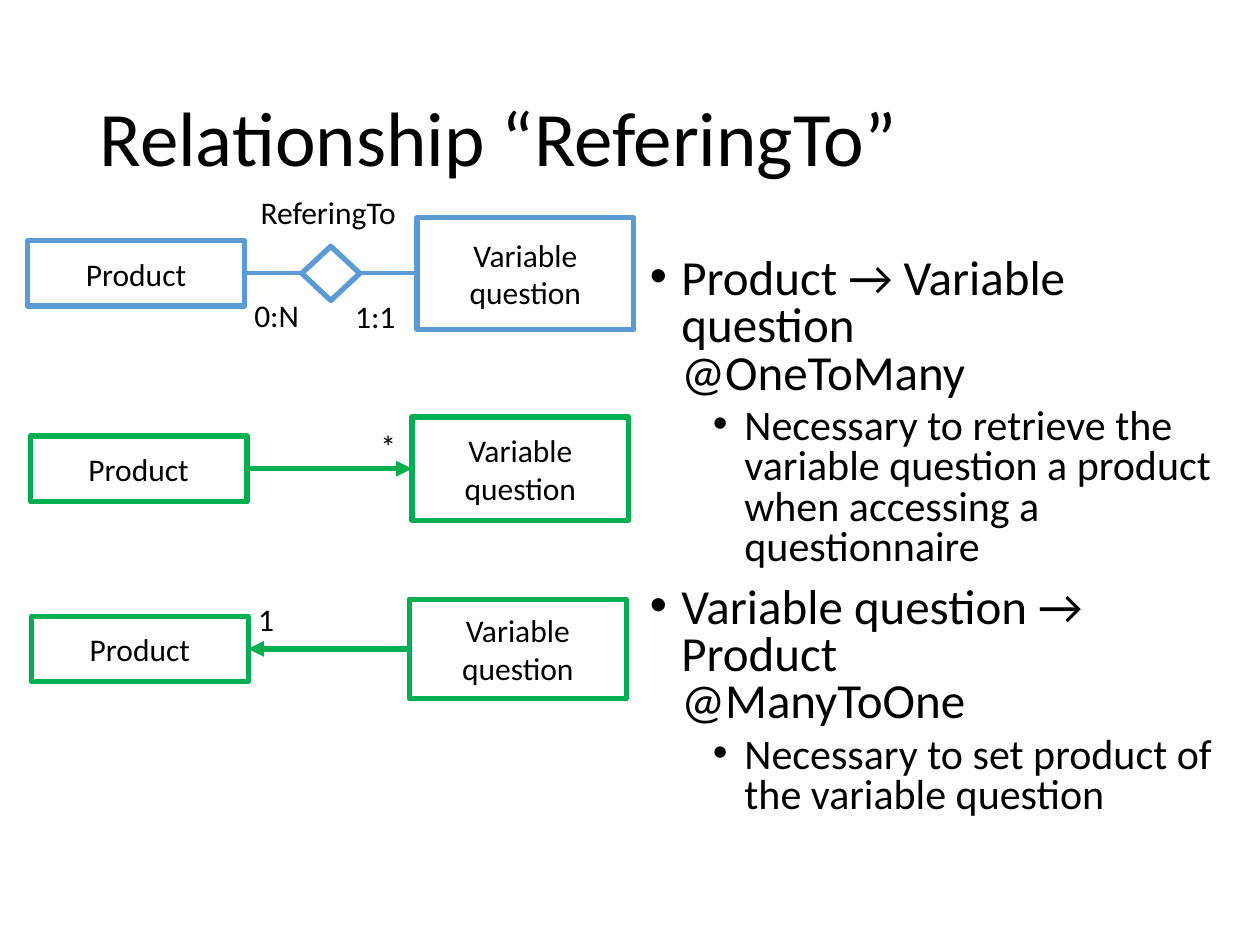
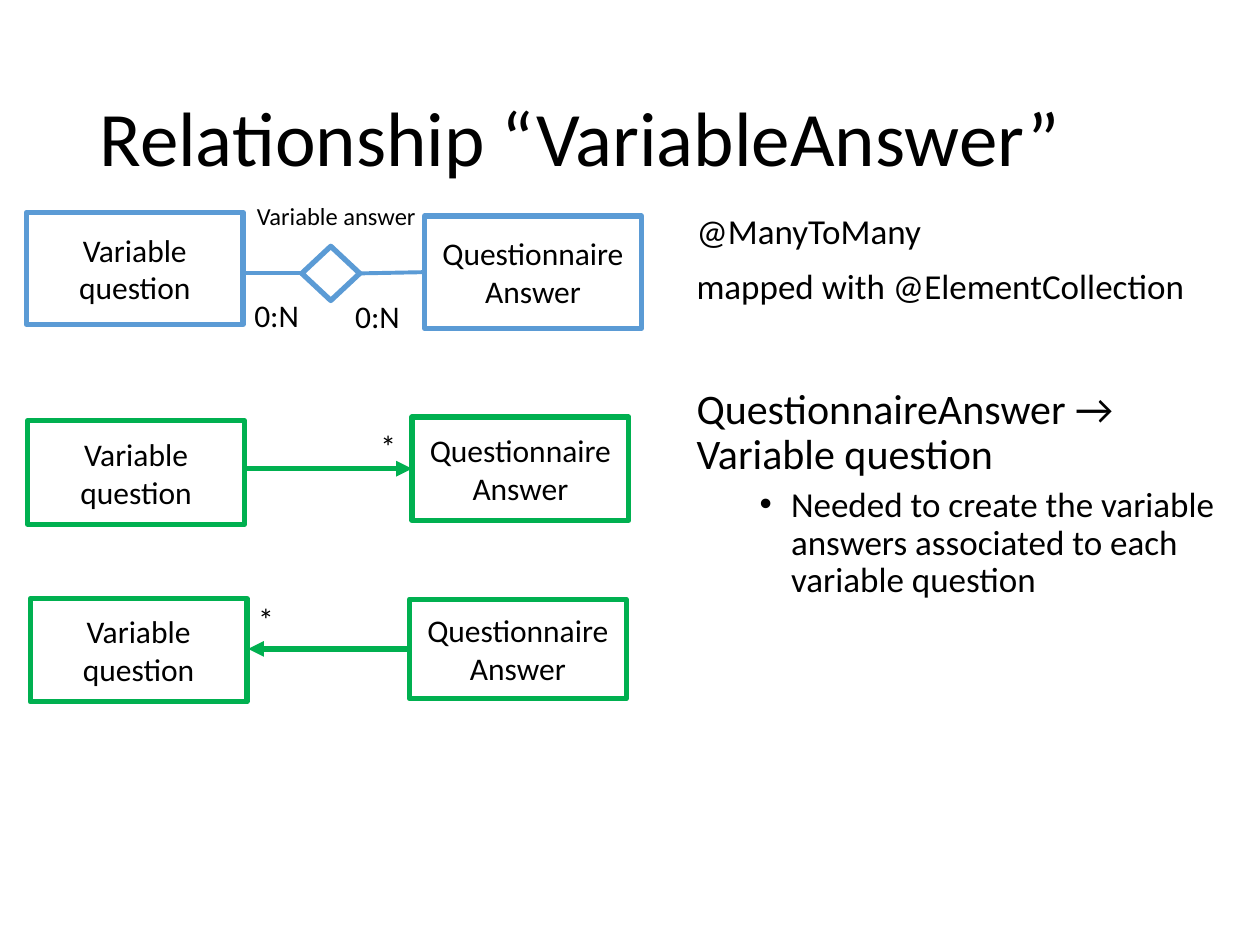
"""Build two slides that map entity relationships to annotations."""
from pptx import Presentation
from pptx import util as u
from pptx.dml.color import RGBColor
from pptx.enum import shapes, text
from pptx.oxml.ns import qn
from lxml import etree

BLACK = RGBColor(0x00, 0x00, 0x00)
WHITE = RGBColor(0xFF, 0xFF, 0xFF)
BLUE = RGBColor(0x5B, 0x9B, 0xD5)
GREEN = RGBColor(0x00, 0xB0, 0x50)
FONT = "Calibri"
CELL = u.Inches(1)
COLUMNS, ROWS = 10, 7.5
BOX_WIDTH = 1.72
MODEL_ROW, FORWARD_ROW, BACK_ROW = 2.17, 3.72, 5.15
DIAMOND_LEFT, DIAMOND_RIGHT = 2.4, 2.86
BULLET_INDENT = 0.25


def cells(*counts):
    """Turn grid counts into slide lengths."""
    return [round(count * CELL) for count in counts]


def style(para, size, align=text.PP_ALIGN.LEFT):
    """Give a paragraph the shared font."""
    para.alignment = align
    para.font.name = FONT
    para.font.size = u.Pt(size)
    para.font.color.rgb = BLACK


def add_page(deck, title):
    """Add a title-only slide with its heading."""
    page = deck.slides.add_slide(deck.slide_layouts[5])
    head = page.shapes.title
    head.left, head.top, head.width, head.height = cells(0.69, 0.4, 8.62, 1.45)
    frame = head.text_frame
    frame.text = title
    frame.auto_size = text.MSO_AUTO_SIZE.NONE
    frame.vertical_anchor = text.MSO_ANCHOR.MIDDLE
    para = frame.paragraphs[0]
    style(para, 44)
    para.line_spacing = 0.9
    return page


def add_outline(page, kind, place, colour, fill=None):
    """Add a thick-lined preset shape, hollow unless filled."""
    shape = page.shapes.add_shape(kind, *cells(*place))
    shape.shadow.inherit = False
    if fill is None:
        shape.fill.background()
    else:
        shape.fill.solid()
        shape.fill.fore_color.rgb = fill
    shape.line.color.rgb = colour
    shape.line.width = u.Pt(3)
    return shape


def add_entity(page, name, left, middle, height, colour, fill=None):
    """Add an entity box centred on a row."""
    place = (left, middle - height / 2, BOX_WIDTH, height)
    box = add_outline(page, shapes.MSO_SHAPE.RECTANGLE, place, colour, fill)
    frame = box.text_frame
    frame.word_wrap = True
    frame.text = name
    frame.vertical_anchor = text.MSO_ANCHOR.MIDDLE
    for para in frame.paragraphs:
        style(para, 18, text.PP_ALIGN.CENTER)


def add_line(page, start, end, colour, width, arrow=False):
    """Add a straight line, with an arrowhead at its end if wanted."""
    line = page.shapes.add_connector(
        shapes.MSO_CONNECTOR.STRAIGHT, *cells(*start, *end))
    line.line.color.rgb = colour
    line.line.width = u.Pt(width)
    if arrow:
        etree.SubElement(line.line._get_or_add_ln(), qn("a:tailEnd"), type="triangle")
    etree.SubElement(line._element.spPr, qn("a:effectLst"))


def add_label(page, words, left, top, width, size=18):
    """Add a one-line label."""
    box = page.shapes.add_textbox(*cells(left, top, width, 0.34 if size < 18 else 0.4))
    frame = box.text_frame
    frame.word_wrap = False
    frame.auto_size = text.MSO_AUTO_SIZE.SHAPE_TO_FIT_TEXT
    frame.text = words
    style(frame.paragraphs[0], size)


def add_body(page, place, spacing, items):
    """Add body text from (words, size, space before, bullet indent) items."""
    frame = page.shapes.add_textbox(*cells(*place)).text_frame
    frame.word_wrap = True
    for index, (words, size, before, indent) in enumerate(items):
        para = frame.add_paragraph() if index else frame.paragraphs[0]
        para.text = words
        style(para, size)
        para.line_spacing = spacing
        para.space_before = u.Pt(before)
        if indent:
            margin, hanging = cells(indent, -BULLET_INDENT)
            props = para._p.get_or_add_pPr()
            props.set("marL", str(margin))
            props.set("indent", str(hanging))
            etree.SubElement(props, qn("a:buFont"), typeface="Arial")
            etree.SubElement(props, qn("a:buChar"), char="•")
            props.append(props.find(qn("a:defRPr")))


def add_model(page, source, target, name, name_place, roles):
    """Draw the conceptual relation: two entities around a diamond."""
    for entity in (source, target):
        add_entity(page, *entity, BLUE, WHITE)
    diamond = add_outline(page, shapes.MSO_SHAPE.DIAMOND,
                          (2.41, 1.94, 0.43, 0.46), BLUE, WHITE)
    diamond.rotation = 90
    add_line(page, (target[1], target[2]), (DIAMOND_RIGHT, MODEL_ROW), BLUE, 2.25)
    add_line(page, (DIAMOND_LEFT, MODEL_ROW), (1.94, MODEL_ROW), BLUE, 2.25)
    add_label(page, name, *name_place)
    add_label(page, roles[0], 1.92, 2.3, 0.56)
    add_label(page, roles[1], 2.72, 2.31, 0.56)


def add_directions(page, forward, back, target, back_role):
    """Draw the two one-way associations under the model."""
    add_entity(page, *forward, GREEN)
    add_entity(page, target, 3.27, FORWARD_ROW, 0.82, GREEN)
    add_line(page, (1.96, FORWARD_ROW), (3.27, FORWARD_ROW), GREEN, 3, True)
    add_label(page, "*", 2.92, 3.34, 0.26)
    add_entity(page, *back, GREEN)
    add_entity(page, target, 3.25, BACK_ROW, 0.79, GREEN)
    add_line(page, (3.25, BACK_ROW), (1.97, BACK_ROW), GREEN, 3, True)
    add_label(page, back_role, 1.95, 4.71, 0.33)


def build_refering_to(deck):
    """Build the slide on the one-to-many relation."""
    page = add_page(deck, "Relationship “ReferingTo”")
    source, target = "Product", "Variable question"
    add_body(page, (5.06, 2, 4.79, 5.02), 0.8, [
        ("Product → Variable question \v@OneToMany", 28, 10, 0.25),
        ("Necessary to retrieve the variable question a product when "
         "accessing a questionnaire", 24, 5, 0.75),
        ("Variable question → Product \v@ManyToOne", 28, 10, 0.25),
        ("Necessary to set product of the variable question", 24, 5, 0.75),
    ])
    add_model(page, (source, 0.22, MODEL_ROW, 0.52), (target, 3.31, MODEL_ROW, 0.89),
              "ReferingTo", (1.97, 1.48, 1.29), ("0:N", "1:1"))
    add_directions(page, (source, 0.24, FORWARD_ROW, 0.52),
                   (source, 0.25, BACK_ROW, 0.52), target, "1")


def build_variable_answer(deck):
    """Build the slide on the many-to-many relation."""
    page = add_page(deck, "Relationship “VariableAnswer”")
    source, target = "Variable question", "Questionnaire\nAnswer"
    add_body(page, (5.43, 1.65, 4.33, 5.02), 0.9, [
        ("@ManyToMany", 20, 10, None),
        ("mapped with @ElementCollection", 20, 10, None),
        ("QuestionnaireAnswer → Variable question", 24, 46, None),
        ("Needed to create the variable answers associated to each "
         "variable question", 20, 5, 0.75),
    ])
    add_model(page, (source, 0.21, 2.13, 0.89), (target, 3.37, 2.16, 0.89),
              "Variable answer", (1.94, 1.55, 1.48, 14), ("0:N", "0:N"))
    add_directions(page, (source, 0.22, 3.75, 0.82),
                   (source, 0.24, 5.16, 0.82), target, "*")


def main():
    """Build and save the deck."""
    deck = Presentation()
    deck.slide_width, deck.slide_height = cells(COLUMNS, ROWS)
    build_refering_to(deck)
    build_variable_answer(deck)
    deck.save("out.pptx")


main()
